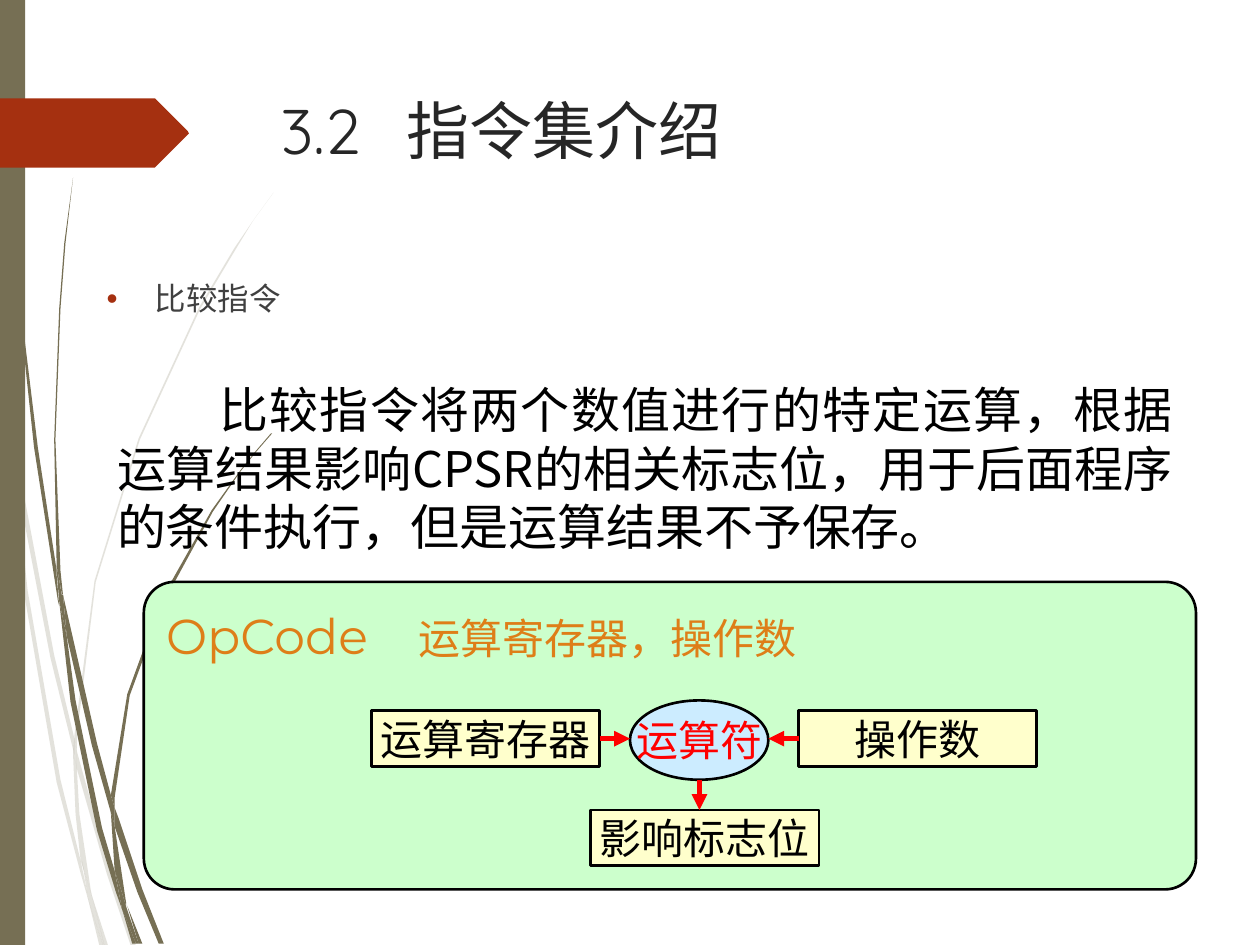
"""Build the slide that introduces the compare instructions."""
from dataclasses import dataclass

import pptx
import pptx.dml.color
import pptx.enum.shapes
import pptx.enum.text
import pptx.oxml
import pptx.oxml.ns
import pptx.util
from lxml import etree

Cm = pptx.util.Cm
Pt = pptx.util.Pt
RGBColor = pptx.dml.color.RGBColor
ShapeKind = pptx.enum.shapes.MSO_SHAPE
Align = pptx.enum.text.PP_ALIGN
Anchor = pptx.enum.text.MSO_ANCHOR
qn = pptx.oxml.ns.qn

BLACK = RGBColor(0x00, 0x00, 0x00)
RED = RGBColor(0xFF, 0x00, 0x00)
OLIVE = RGBColor(0x76, 0x6F, 0x54)
RUST = RGBColor(0xA5, 0x30, 0x10)
ORANGE = RGBColor(0xDE, 0x7E, 0x18)
CHARCOAL = RGBColor(0x26, 0x26, 0x26)
GREY = RGBColor(0x40, 0x40, 0x40)
MINT = RGBColor(0xCC, 0xFF, 0xCC)
CREAM = RGBColor(0xFF, 0xFF, 0xCC)
SKY = RGBColor(0xCC, 0xEC, 0xFF)

OUTLINE_UNIT = Cm(2.54) / 100
PALE_WISPS = (
    "8,350 6,322 0,282 0,299 7,344",
    "40,522 59,599 59,586 43,520 10,345 12,376",
    "64,607 61,596 61,610 85,694 104,751 108,751 88,692",
    "83,751 86,751 73,711",
    "64,683 48,619 22,469 12,376 8,350 19,470 45,621 64,693 70,714 69,707",
    "58,599 60,646 64,683 67,692 73,711 72,706 63,646 61,610 61,608",
    "61,584 76,462 111,349 159,245 187,198 201,175 217,153 201,175 186,197 "
    "158,244 110,348 75,461 59,584 59,586 61,596",
    "70,714 79,751 82,751",
    "61,608 61,610 61,596 59,586 58,599",
    "67,692 65,683 69,707 70,714 82,751 83,751 73,711",
)
DARK_WISPS = (
    "5,110 14,233 27,355 46,477 47,481 45,457 45,453 30,355 15,232 6,109 4,48 3,0 2,0 3,48",
    "73,592 88,645 88,633 88,631 77,590 50,472 53,505",
    "94,649 91,641 91,656 109,708 126,749 130,749 113,706",
    "91,691 81,657 60,556 53,505 47,477 56,557 77,659 92,708 97,722 96,717",
    "50,472 48,453 44,349 48,245 52,193 58,141 51,193 47,245 43,349 45,449 49,471",
    "110,749 113,749 101,719",
    "47,477 53,505 50,472 49,472 45,449 45,453",
    "91,633 103,552 131,476 169,406 191,374 203,359 216,344 215,344 203,358 "
    "191,373 168,405 129,474 101,551 88,631 91,641",
    "97,722 105,749 108,749",
    "88,645 91,691 96,706 100,719 100,716 91,656 90,651",
    "88,645 90,651 91,656 91,641 88,631 88,633",
    "96,706 91,691 96,717 97,722 108,749 110,749 100,719",
)
PENTAGON = "149,107 124,132 123,133 121,133 0,133 0,78 121,78 123,78 124,79 149,104 150,106"


@dataclass(frozen=True)
class Box:
    left: float
    top: float
    width: float
    height: float

    def lengths(self) -> tuple:
        return tuple(Cm(n) for n in (self.left, self.top, self.width, self.height))


@dataclass(frozen=True)
class Run:
    text: str
    size: float
    font: str
    color: RGBColor


@dataclass(frozen=True)
class TextBlock:
    box: Box
    runs: tuple
    align: Align = Align.LEFT
    margin: float = 0
    indent: float = 0
    tab: float = 0
    bullet: str = ""


@dataclass(frozen=True)
class Node:
    kind: ShapeKind
    box: Box
    fill: RGBColor
    label: Run


def add_outline(slide, points: str, color: RGBColor, opacity: int = 100) -> None:
    vertices = [tuple(int(n) for n in pair.split(",")) for pair in points.split()]
    builder = slide.shapes.build_freeform(*vertices[0], scale=OUTLINE_UNIT)
    builder.add_line_segments(vertices[1:], close=True)
    shape = builder.convert_to_shape()
    shape.shadow.inherit = False
    shape.fill.solid()
    shape.fill.fore_color.rgb = color
    shape.line.fill.background()
    if opacity < 100:
        color_element = shape._element.spPr.find(".//" + qn("a:srgbClr"))
        etree.SubElement(color_element, qn("a:alpha"), val=str(opacity * 1000))


def add_runs(paragraph, runs: tuple) -> None:
    for item in runs:
        run = paragraph.add_run()
        run.text = item.text
        for name, value in {"size": Pt(item.size), "name": item.font}.items():
            setattr(run.font, name, value)
        run.font.color.rgb = item.color


def add_text(slide, block: TextBlock) -> None:
    frame = slide.shapes.add_textbox(*block.box.lengths()).text_frame
    frame.word_wrap = True
    paragraph = frame.paragraphs[0]
    paragraph.alignment = block.align
    properties = paragraph._p.get_or_add_pPr()
    for name, value in {"marL": block.margin, "indent": block.indent}.items():
        properties.set(name, str(int(Cm(value))))
    if block.bullet:
        color = etree.SubElement(properties, qn("a:buClr"))
        etree.SubElement(color, qn("a:srgbClr"), val=str(RUST))
        etree.SubElement(properties, qn("a:buFont"), typeface="Arial")
        etree.SubElement(properties, qn("a:buChar"), char=block.bullet)
    if block.tab:
        tabs = etree.SubElement(properties, qn("a:tabLst"))
        etree.SubElement(tabs, qn("a:tab"), pos=str(int(Cm(block.tab))), algn="l")
    add_runs(paragraph, block.runs)


def add_shape(slide, kind: ShapeKind, box: Box, fill: RGBColor, outlined: bool = True):
    shape = slide.shapes.add_shape(kind, *box.lengths())
    shape.shadow.inherit = False
    shape.fill.solid()
    shape.fill.fore_color.rgb = fill
    if outlined:
        shape.line.color.rgb = BLACK
        shape.line.width = Pt(1.5)
    else:
        shape.line.fill.background()
    return shape


def add_node(slide, node: Node):
    shape = add_shape(slide, node.kind, node.box, node.fill)
    frame = shape.text_frame
    for name, value in {"word_wrap": False, "vertical_anchor": Anchor.MIDDLE}.items():
        setattr(frame, name, value)
    frame.paragraphs[0].alignment = Align.CENTER
    add_runs(frame.paragraphs[0], (node.label,))
    return shape


def add_arrow(slide, start: tuple, end: tuple, source=None, side: int = 0) -> None:
    ends = [Cm(n) for n in start + end]
    arrow = slide.shapes.add_connector(pptx.enum.shapes.MSO_CONNECTOR.STRAIGHT, *ends)
    if source is not None:
        arrow.begin_connect(source, side)
    arrow.line.color.rgb = RED
    arrow.line.width = Pt(3)
    etree.SubElement(arrow.line._get_or_add_ln(), qn("a:tailEnd"), type="triangle")
    etree.SubElement(arrow._element.spPr, qn("a:effectLst"))


def main() -> None:
    presentation = pptx.Presentation()
    presentation.slide_width, presentation.slide_height = Cm(25.4), Cm(19.05)
    slide = presentation.slides.add_slide(presentation.slide_layouts[6])

    for wisps, opacity in ((PALE_WISPS, 20), (DARK_WISPS, 100)):
        for points in wisps:
            add_outline(slide, points, OLIVE, opacity)
    add_shape(slide, ShapeKind.RECTANGLE, Box(0, 0, 0.51, 19.05), OLIVE, outlined=False)
    add_outline(slide, PENTAGON, RUST)

    add_text(slide, TextBlock(Box(5.41, 1.73, 18.31, 3.56),
                              (Run("3.2\t指令集介绍", 36, "Quicksand", CHARCOAL),), tab=2.62))
    add_text(slide, TextBlock(Box(1.9, 5.51, 21.59, 1.9),
                              (Run("比较指令", 18, "Quicksand", GREY),),
                              margin=0.97, indent=-0.97, bullet="•"))
    add_text(slide, TextBlock(
        Box(2.11, 7.52, 21.79, 3.81),
        (Run("比较指令将两个数值进行的特定运算，根据运算结果影响CPSR的相关标志位，"
             "用于后面程序的条件执行，但是运算结果不予保存。", 28, "Noto Sans CJK JP", BLACK),),
        align=Align.JUSTIFY, indent=2.06))

    panel = add_shape(slide, ShapeKind.ROUNDED_RECTANGLE, Box(2.9, 11.73, 21.21, 6.2), MINT)
    panel.adjustments[0] = 0.1
    add_text(slide, TextBlock(Box(3.1, 12.09, 21.01, 1.45),
                              (Run("OpCode\t", 28, "Montserrat", ORANGE),
                               Run("运算寄存器，操作数", 24, "Montserrat", ORANGE)), tab=5.33))

    register, operand, operator, flags = (
        add_node(slide, Node(kind, box, fill, Run(text, 24, "Times New Roman", color)))
        for kind, box, fill, text, color in (
            (ShapeKind.RECTANGLE, Box(7.49, 14.33, 4.6, 1.12), CREAM, "运算寄存器", BLACK),
            (ShapeKind.RECTANGLE, Box(16.1, 14.33, 4.8, 1.12), CREAM, "操作数", BLACK),
            (ShapeKind.OVAL, Box(12.7, 14.12, 2.79, 1.6), SKY, "运算符", RED),
            (ShapeKind.RECTANGLE, Box(11.91, 16.33, 4.6, 1.12), CREAM, "影响标志位", BLACK)))
    add_arrow(slide, (12.09, 14.89), (12.7, 14.89), register, 3)
    add_arrow(slide, (16.1, 14.89), (15.49, 14.89), operand, 1)
    add_arrow(slide, (14.1, 15.72), (14.1, 16.33))
    presentation.save("out.pptx")


if __name__ == "__main__":
    main()
